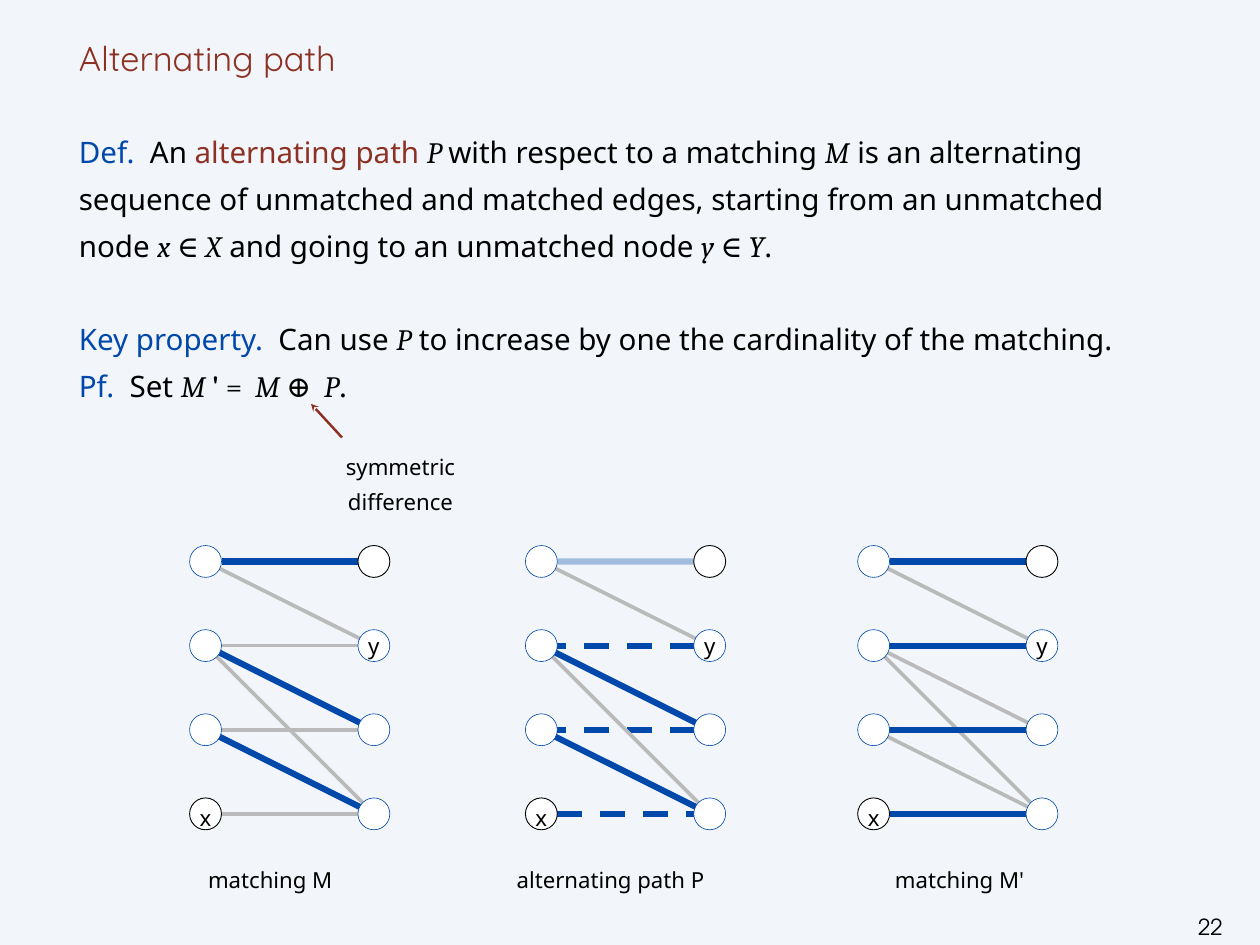
from lxml.etree import SubElement
from pptx import Presentation
from pptx.dml.color import RGBColor
from pptx.enum.dml import MSO_LINE
from pptx.enum.shapes import MSO_CONNECTOR, MSO_SHAPE
from pptx.enum.text import MSO_ANCHOR, PP_ALIGN
from pptx.oxml.ns import qn
from pptx.util import Inches, Pt

BLUE = RGBColor(0x00, 0x48, 0xAA)
RED = RGBColor(0x8D, 0x31, 0x24)
GRAY = RGBColor(0xBA, 0xBA, 0xBA)
BLACK = RGBColor(0, 0, 0)
WHITE = RGBColor(255, 255, 255)
PAPER = RGBColor(0xF2, 0xF6, 0xFA)

SANS, MATH = "Noto Sans", "Cambria"
PLAIN = (SANS, BLACK, False, False)
LEAD = (SANS, BLUE, False, False)
TERM = (SANS, RED, False, False)
VARIABLE = (MATH, BLACK, True, False)
SYMBOL = (MATH, BLACK, False, False)
PRIME = (MATH, BLACK, False, True)

TITLE = "Alternating path"
BODY = [
    (0, [
        ("Def.  ", LEAD), ("An ", PLAIN), ("alternating path ", TERM), ("P ", VARIABLE),
        ("with respect to a matching ", PLAIN), ("M", VARIABLE),
        (" is an alternating sequence of unmatched and matched edges, "
         "starting from an unmatched node ", PLAIN),
        ("x", VARIABLE), (" ∈ ", SYMBOL), ("X", VARIABLE),
        (" and going to an unmatched node ", PLAIN),
        ("y", VARIABLE), (" ∈ ", SYMBOL), ("Y", VARIABLE), (".", PLAIN),
    ]),
    (38, [
        ("Key property.  ", LEAD), ("Can use ", PLAIN), ("P", VARIABLE),
        (" to increase by one the cardinality of the matching.", PLAIN),
    ]),
    (0, [
        ("Pf.  ", LEAD), ("Set ", PLAIN), ("M", VARIABLE), (" '", PRIME), (" =  ", SYMBOL),
        ("M ", VARIABLE), ("⊕ ", SYMBOL), (" P", VARIABLE), (".", PLAIN),
    ]),
]

EDGE_STYLES = {
    "free": (GRAY, 3, None, None),
    "matched": (BLUE, 5, None, None),
    "faded": (BLUE, 5, None, 33),
    "added": (BLUE, 5, MSO_LINE.DASH, None),
}
GRAPHS = [
    (2.32, "matching M", 3.05, [
        (0, 1, "free"), (1, 2, "matched"), (2, 3, "matched"), (0, 0, "matched"),
        (3, 3, "free"), (2, 2, "free"), (1, 1, "free"), (1, 3, "free")]),
    (6.11, "alternating path P", 6.89, [
        (0, 1, "free"), (1, 2, "matched"), (2, 3, "matched"), (0, 0, "faded"),
        (3, 3, "added"), (2, 2, "added"), (1, 1, "added"), (1, 3, "free")]),
    (9.86, "matching M'", 10.83, [
        (0, 1, "free"), (1, 2, "free"), (2, 3, "free"), (1, 3, "free"),
        (0, 0, "matched"), (3, 3, "matched"), (2, 2, "matched"), (1, 1, "matched")]),
]
NODE_LABELS = {(0, 3): ("x", 28.4), (1, 1): ("y", None)}
UNMATCHED_LOOK = {(0, 3), (1, 0)}
ROWS, TOP_ROW, ROW_STEP, SIDE_STEP, RADIUS = 4, 6.34, 0.95, 1.9, 0.18


def add_span(para, text, size, style):
    span = para.add_run()
    span.text = text
    font = span.font
    font.size = Pt(size)
    font.name, font.color.rgb, font.italic, font.bold = style


def format_frame(frame, wrap=False, anchor=MSO_ANCHOR.TOP, inset=0):
    frame.word_wrap = wrap
    frame.vertical_anchor = anchor
    frame.margin_left = frame.margin_right = Inches(inset)
    frame.margin_top = frame.margin_bottom = Inches(inset)


def add_label(page, text, left, top, width, height, wrap=False, inset=0,
              spacing=28.4, style=PLAIN):
    box = page.shapes.add_textbox(Inches(left), Inches(top), Inches(width), Inches(height))
    format_frame(box.text_frame, wrap, inset=inset)
    para = box.text_frame.paragraphs[0]
    para.alignment = PP_ALIGN.CENTER
    para.line_spacing = Pt(spacing)
    add_span(para, text, 18, style)


def add_line(page, start, end, color, width, dash=None, alpha=None):
    line = page.shapes.add_connector(
        MSO_CONNECTOR.STRAIGHT, *(Inches(value) for value in start + end))
    line.line.color.rgb = color
    line.line.width = Pt(width)
    if dash:
        line.line.dash_style = dash
    properties = line._element.spPr
    if alpha:
        tint = next(properties.iter(qn("a:srgbClr")))
        SubElement(tint, qn("a:alpha"), val=str(alpha * 1000))
    SubElement(properties, qn("a:effectLst"))
    return line


def add_edge(page, left, start_row, end_row, style):
    trim = RADIUS if start_row == end_row and start_row in (0, ROWS - 1) else 0
    start = (left + trim, TOP_ROW + start_row * ROW_STEP)
    end = (left + SIDE_STEP - trim, TOP_ROW + end_row * ROW_STEP)
    add_line(page, start, end, *EDGE_STYLES[style])


def add_node(page, left, side, row):
    center_x = left + side * SIDE_STEP
    center_y = TOP_ROW + row * ROW_STEP
    node = page.shapes.add_shape(
        MSO_SHAPE.OVAL, Inches(center_x - RADIUS), Inches(center_y - RADIUS),
        Inches(2 * RADIUS), Inches(2 * RADIUS))
    node.shadow.inherit = False
    node.fill.solid()
    node.fill.fore_color.rgb = WHITE
    outlined = (side, row) in UNMATCHED_LOOK
    node.line.color.rgb = BLACK if outlined else BLUE
    node.line.width = Pt(0.75 if outlined else 0.5)
    if (side, row) in NODE_LABELS:
        text, spacing = NODE_LABELS[side, row]
        format_frame(node.text_frame, anchor=MSO_ANCHOR.MIDDLE)
        para = node.text_frame.paragraphs[0]
        para.alignment = PP_ALIGN.CENTER
        if spacing:
            para.line_spacing = Pt(spacing)
        add_span(para, text, 18, PLAIN)


def add_title(page):
    title = page.shapes.title
    title.left, title.top = Inches(0.89), Inches(0)
    title.width, title.height = Inches(12.44), Inches(0.89)
    format_frame(title.text_frame, True, MSO_ANCHOR.BOTTOM)
    para = title.text_frame.paragraphs[0]
    para.alignment = PP_ALIGN.LEFT
    para.line_spacing = Pt(38)
    add_span(para, TITLE, 28, ("Quicksand", RED, False, False))


def add_body(page):
    box = page.shapes.add_textbox(Inches(0.89), Inches(1.39), Inches(12.44), Inches(3.3))
    format_frame(box.text_frame, True)
    for index, (space, spans) in enumerate(BODY):
        para = box.text_frame.add_paragraph() if index else box.text_frame.paragraphs[0]
        para.line_spacing = Pt(38)
        para.space_before = Pt(space)
        for text, style in spans:
            add_span(para, text, 24, style)


def main():
    deck = Presentation()
    deck.slide_width, deck.slide_height = Inches(14.22), Inches(10.67)
    page = deck.slides.add_slide(deck.slide_layouts[5])
    page.background.fill.solid()
    page.background.fill.fore_color.rgb = PAPER
    add_title(page)
    add_body(page)
    for left, caption, caption_center, edges in GRAPHS:
        for edge in edges:
            add_edge(page, left, *edge)
        for side in range(2):
            for row in range(ROWS):
                add_node(page, left, side, row)
        add_label(page, caption, caption_center - 1.2, 9.69, 2.4, 0.4)
    add_label(page, "symmetric difference", 3.82, 5.03, 1.4, 0.8, wrap=True)
    pointer = add_line(page, (3.86, 4.94), (3.51, 4.56), RED, 2)
    SubElement(pointer.line._get_or_add_ln(), qn("a:tailEnd"), type="stealth")
    add_label(page, "22", 13.36, 10.38, 0.6, 0.29, inset=0.04, spacing=14,
              style=("TeX Gyre Adventor", BLACK, False, False))
    deck.save("out.pptx")


if __name__ == "__main__":
    main()
